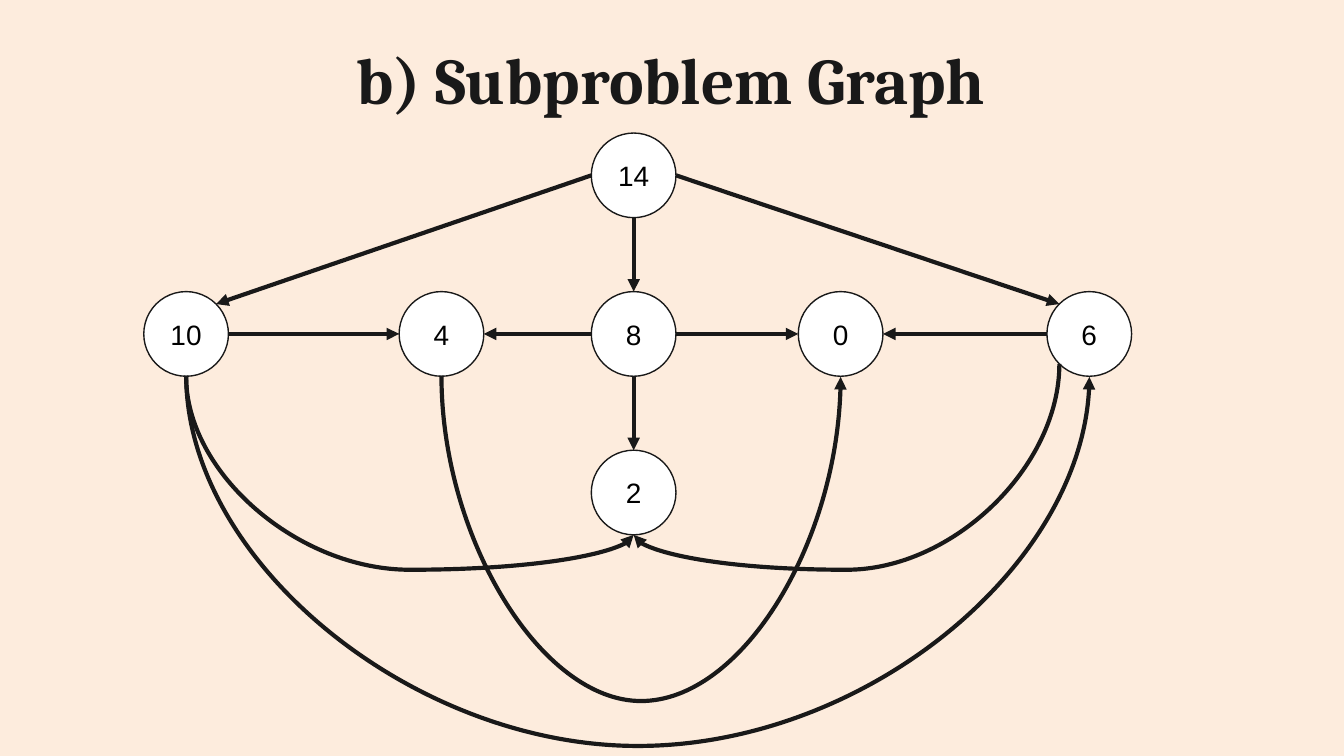
import math

from lxml import etree
from pptx import Presentation
from pptx import util as u
from pptx.dml.color import RGBColor
from pptx.enum import shapes, text
from pptx.oxml.ns import qn

INK = "191919"
DIAMETER = 0.63
SITE_TOP, SITE_TOP_LEFT, SITE_LEFT, SITE_BOTTOM_LEFT = 0, 1, 2, 3
SITE_BOTTOM, SITE_RIGHT, SITE_TOP_RIGHT = 4, 6, 7

presentation = Presentation()
presentation.slide_width = u.Inches(10)
presentation.slide_height = u.Inches(10 * 9 / 16)
slide = presentation.slides.add_slide(presentation.slide_layouts[6])
slide.background.fill.solid()
slide.background.fill.fore_color.rgb = RGBColor.from_string("FDECDD")


def write_text(shape, wording, size, font, color, bold=False,
               anchor=text.MSO_ANCHOR.MIDDLE):
    frame = shape.text_frame
    frame.word_wrap = True
    frame.vertical_anchor = anchor
    frame.margin_left = frame.margin_right = u.Inches(0.1)
    frame.margin_top = frame.margin_bottom = u.Inches(0.1)
    paragraph = frame.paragraphs[0]
    paragraph.alignment = text.PP_ALIGN.CENTER
    run = paragraph.add_run()
    run.text = wording
    run.font.size = u.Pt(size)
    run.font.name = font
    run.font.bold = bold
    run.font.color.rgb = RGBColor.from_string(color)


def draw_arrow(source, source_site, target, target_site, lowest=None):
    """Glue an arrow between two nodes; lowest is the y a curved one dips to.

    Sites run counterclockwise from the top of a circle in steps of 45 degrees.
    """
    points = []
    for name, site in ((source, source_site), (target, target_site)):
        left, top = positions[name]
        angle = math.radians(45 * site)
        radius = DIAMETER / 2
        points.append((left + radius - radius * math.sin(angle),
                       top + radius - radius * math.cos(angle)))
    (x1, y1), (x2, y2) = points
    kind = shapes.MSO_CONNECTOR.STRAIGHT
    ends = (x1, y1, x2, y2)
    if lowest is not None:
        # A dipping curve is a sideways connector turned by a quarter.
        kind = shapes.MSO_CONNECTOR.CURVE
        rightward = x2 > x1
        drop, run = max(y2 - y1, 0.01), abs(x2 - x1)
        middle_x, middle_y = (x1 + x2) / 2, (y1 + y2) / 2
        near, far = middle_x - drop / 2, middle_x + drop / 2
        if rightward:
            near, far = far, near
        ends = (near, middle_y - run / 2, far, middle_y + run / 2)
    connector = slide.shapes.add_connector(kind, *[u.Inches(value) for value in ends])
    connector.line.width = u.Pt(2.25)
    connector.line.color.rgb = RGBColor.from_string(INK)
    properties = connector._element.spPr
    etree.SubElement(properties.find(qn("a:ln")), qn("a:tailEnd"), type="triangle")
    etree.SubElement(properties, qn("a:effectLst"))
    if lowest is not None:
        turn = 270 if rightward else 90
        properties.find(qn("a:xfrm")).set("rot", str(turn * 60000))
        bend = round((lowest - y1) / drop * 100000)
        guides = properties.find(qn("a:prstGeom")).find(qn("a:avLst"))
        etree.SubElement(guides, qn("a:gd"), name="adj1", fmla=f"val {bend}")
    glue = connector._element.find(qn("p:nvCxnSpPr")).find(qn("p:cNvCxnSpPr"))
    for tag, name, site in (("a:stCxn", source, source_site),
                            ("a:endCxn", target, target_site)):
        etree.SubElement(glue, qn(tag), id=str(nodes[name].shape_id), idx=str(site))


title = slide.shapes.add_textbox(u.Inches(0.78), u.Inches(0.19),
                                 u.Inches(8.43), u.Inches(0.63))
write_text(title, "b) Subproblem Graph", size=35, font="Cambria", color=INK,
           bold=True, anchor=text.MSO_ANCHOR.TOP)

positions = {
    "14": (4.4, 0.99),
    "10": (1.07, 2.17),
    "8": (4.4, 2.17),
    "0": (5.94, 2.17),
    "6": (7.79, 2.17),
    "2": (4.4, 3.35),
    "4": (2.97, 2.17),
}
nodes = {}
for name, (left, top) in positions.items():
    node = slide.shapes.add_shape(shapes.MSO_SHAPE.OVAL, u.Inches(left), u.Inches(top),
                                  u.Inches(DIAMETER), u.Inches(DIAMETER))
    node.shadow.inherit = False
    node.fill.solid()
    node.fill.fore_color.rgb = RGBColor.from_string("FFFFFF")
    node.line.color.rgb = RGBColor.from_string(INK)
    node.line.width = u.Pt(0.75)
    write_text(node, name, size=15, font="Arial", color="000000")
    nodes[name] = node

for arrow in (
    ("14", SITE_BOTTOM, "8", SITE_TOP),
    ("6", SITE_LEFT, "0", SITE_RIGHT),
    ("8", SITE_BOTTOM, "2", SITE_TOP),
    ("10", SITE_RIGHT, "4", SITE_LEFT),
    ("8", SITE_LEFT, "4", SITE_RIGHT),
    ("8", SITE_RIGHT, "0", SITE_LEFT),
    ("14", SITE_LEFT, "10", SITE_TOP_RIGHT),
    ("14", SITE_RIGHT, "6", SITE_TOP_LEFT),
    ("4", SITE_BOTTOM, "0", SITE_BOTTOM, 5.26),
    ("10", SITE_BOTTOM, "6", SITE_BOTTOM, 5.6),
    ("6", SITE_BOTTOM_LEFT, "2", SITE_BOTTOM, 4.24),
    ("10", SITE_BOTTOM, "2", SITE_BOTTOM, 4.24),
):
    draw_arrow(*arrow)

presentation.save("out.pptx")
